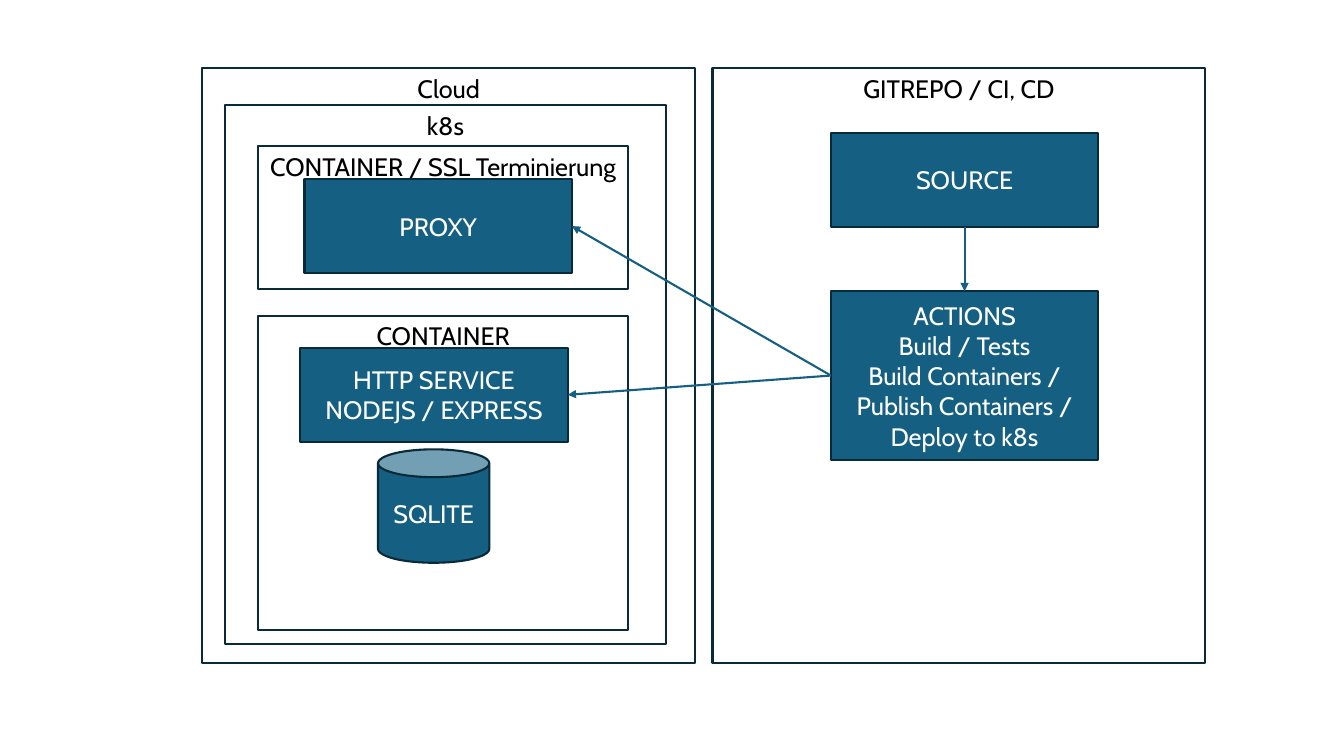
from dataclasses import dataclass

from lxml.etree import SubElement
from pptx import Presentation
from pptx.dml.color import RGBColor
from pptx.enum.shapes import MSO_CONNECTOR as Connector, MSO_SHAPE as Shape
from pptx.enum.text import MSO_ANCHOR as Anchor, PP_ALIGN as Align
from pptx.oxml.ns import qn
from pptx.util import Pt


@dataclass(frozen=True)
class Theme:
    fill = RGBColor(0x15, 0x60, 0x82)
    border = RGBColor(0x09, 0x2A, 0x39)
    light_text = RGBColor(0xFF, 0xFF, 0xFF)
    dark_text = RGBColor(0, 0, 0)
    font = "Cabin"
    text_size = Pt(18)
    line_width = Pt(1.5)


theme = Theme()

presentation = Presentation()
presentation.slide_width = Pt(960)
presentation.slide_height = Pt(540)
slide = presentation.slides.add_slide(presentation.slide_layouts[6])


def add_box(kind, bounds, paragraphs, filled):
    """Draw an outlined box; each paragraph is a list of lines."""
    shape = slide.shapes.add_shape(kind, *(Pt(length) for length in bounds))
    shape.shadow.inherit = False
    shape.line.color.rgb = theme.border
    shape.line.width = theme.line_width
    if filled:
        shape.fill.solid()
        shape.fill.fore_color.rgb = theme.fill
    else:
        shape.fill.background()

    frame = shape.text_frame
    frame.word_wrap = True
    frame.vertical_anchor = Anchor.MIDDLE if filled else Anchor.TOP
    for index, lines in enumerate(paragraphs):
        paragraph = frame.add_paragraph() if index else frame.paragraphs[0]
        paragraph.alignment = Align.CENTER
        for number, line in enumerate(lines):
            if number:
                paragraph.add_line_break()
            run = paragraph.add_run()
            run.text = line
            run.font.name = theme.font
            run.font.size = theme.text_size
            run.font.color.rgb = theme.light_text if filled else theme.dark_text
    return shape


# Frames, from the outside in
zone_top, zone_width, zone_height = 48.5, 352, 425
container_left, container_width = 184.5, 264
frames = [
    ("Cloud", (144.5, zone_top, zone_width, zone_height)),
    ("GITREPO / CI, CD", (509, zone_top, zone_width, zone_height)),
    ("k8s", (160.5, 75, 315.5, 385)),
    ("CONTAINER / SSL Terminierung", (container_left, 104.5, container_width, 102)),
    ("CONTAINER", (container_left, 225.5, container_width, 224.5)),
]
for title, bounds in frames:
    add_box(Shape.RECTANGLE, bounds, [[title]], filled=False)

# Services and pipeline steps
box_width, box_height = 191, 67
pipeline_left = 593.5
components = {
    "proxy": (Shape.RECTANGLE, (217.5, 128, box_width, box_height), [["PROXY"]]),
    "service": (Shape.RECTANGLE, (214.5, 248.5, box_width, box_height),
                [["HTTP SERVICE", "NODEJS / EXPRESS"]]),
    "database": (Shape.CAN, (270, 321, 79.5, 81), [["SQLITE"]]),
    "source": (Shape.RECTANGLE, (pipeline_left, 95, box_width, box_height), [["SOURCE"]]),
    "actions": (Shape.RECTANGLE, (pipeline_left, 208, box_width, 120.5),
                [["ACTIONS"],
                 ["Build / Tests",
                  "Build Containers / Publish Containers / Deploy to k8s"]]),
}
boxes = {name: add_box(*component, filled=True)
         for name, component in components.items()}

# Arrows, attached to the sides of the boxes
LEFT, BOTTOM, RIGHT, TOP = 1, 2, 3, 0
arrows = [
    ("source", BOTTOM, "actions", TOP),
    ("actions", LEFT, "proxy", RIGHT),
    ("actions", LEFT, "service", RIGHT),
]
for start, start_side, end, end_side in arrows:
    arrow = slide.shapes.add_connector(Connector.STRAIGHT, 0, 0, 0, 0)
    arrow.begin_connect(boxes[start], start_side)
    arrow.end_connect(boxes[end], end_side)
    arrow.line.color.rgb = theme.fill
    arrow.line.width = theme.line_width
    SubElement(arrow.line._get_or_add_ln(), qn("a:tailEnd"), type="triangle")
    SubElement(arrow._element.spPr, qn("a:effectLst"))

presentation.save("out.pptx")
